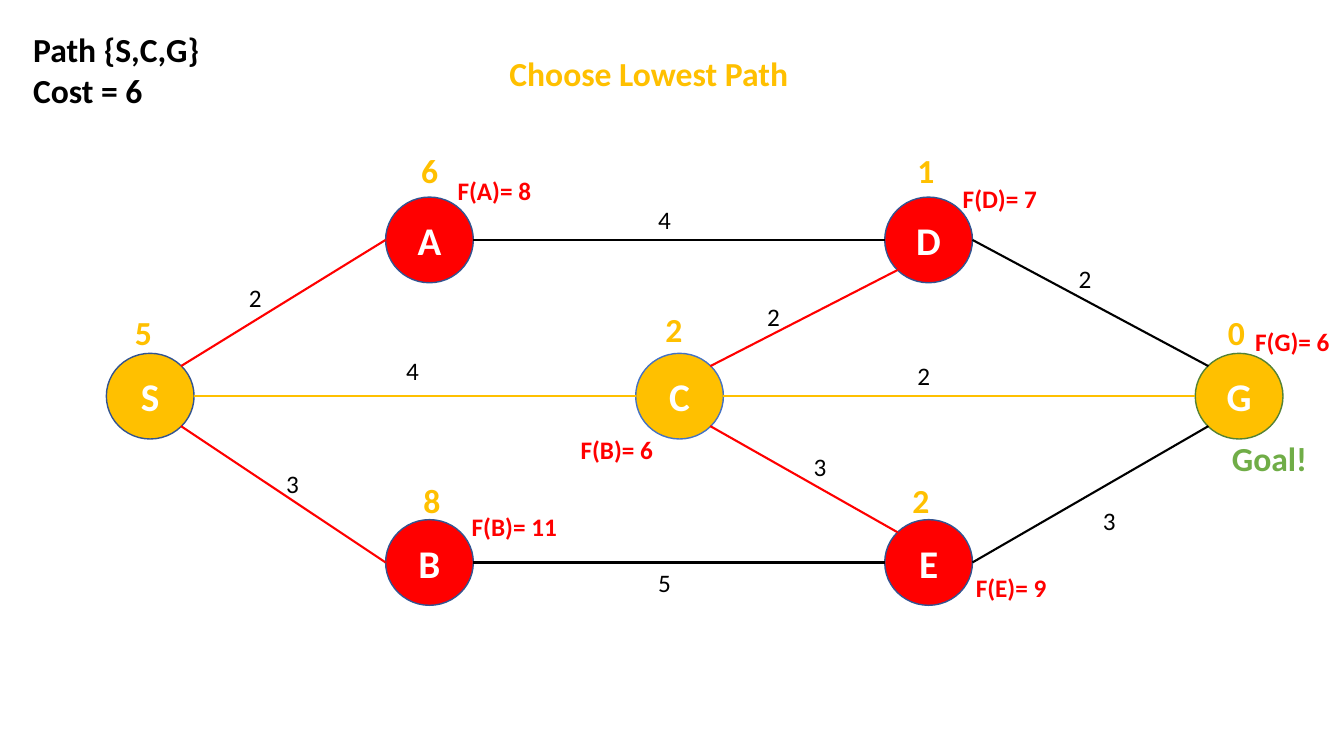
from lxml import etree
from pptx import Presentation
from pptx.dml.color import RGBColor
from pptx.enum.shapes import MSO_CONNECTOR, MSO_SHAPE
from pptx.enum.text import MSO_ANCHOR, MSO_AUTO_SIZE, PP_ALIGN
from pptx.oxml.ns import qn
from pptx.util import Inches, Pt

STRAIGHT = MSO_CONNECTOR.STRAIGHT
ELLIPSE = MSO_SHAPE.OVAL
TOP, MIDDLE = MSO_ANCHOR.TOP, MSO_ANCHOR.MIDDLE
LEFT, CENTER = PP_ALIGN.LEFT, PP_ALIGN.CENTER
GROW = MSO_AUTO_SIZE.SHAPE_TO_FIT_TEXT

COLORS = {
    "gold": "FFC000", "red": "FF0000", "black": "000000", "white": "FFFFFF",
    "green": "70AD47", "dark_green": "548235", "blue": "4472C4", "navy": "325491",
}
NODE_W, NODE_H = 0.87, 0.85
DIAGONAL = 0.35
SIDES = {
    "left": (-0.5, 0), "right": (0.5, 0),
    "top_left": (-DIAGONAL, -DIAGONAL), "top_right": (DIAGONAL, -DIAGONAL),
    "bottom_left": (-DIAGONAL, DIAGONAL), "bottom_right": (DIAGONAL, DIAGONAL),
}
COLS = (1.49, 4.26, 6.74, 9.21, 12.29)
ROWS = (2.38, 3.93, 5.58)
NODES = {
    "S": (COLS[0], ROWS[1], "gold", "navy"),
    "G": (COLS[4], ROWS[1], "gold", "dark_green"),
    "B": (COLS[1], ROWS[2], "red", "navy"),
    "A": (COLS[1], ROWS[0], "red", "navy"),
    "C": (COLS[2], ROWS[1], "gold", "blue"),
    "D": (COLS[3], ROWS[0], "red", "navy"),
    "E": (COLS[3], ROWS[2], "red", "navy"),
}
EDGES = [
    ("S", "top_right", "A", "left", "red", "2", 2.37, 2.75),
    ("S", "bottom_right", "B", "left", "red", "3", 2.74, 4.6),
    ("B", "right", "E", "left", "black", "5", 6.43, 5.58),
    ("E", "right", "G", "bottom_left", "black", "3", 10.84, 4.96),
    ("D", "right", "G", "top_left", "black", "2", 10.6, 2.56),
    ("A", "right", "D", "left", "black", "4", 6.43, 1.98),
    ("C", "right", "G", "left", "gold", "2", 9, 3.53),
    ("S", "right", "C", "left", "gold", "4", 3.93, 3.48),
    ("C", "top_right", "D", "bottom_left", "red", "2", 7.51, 2.94),
    ("C", "bottom_right", "E", "top_left", "red", "3", 7.97, 4.43),
]
HEURISTICS = [
    ("5", 1.24, 3.05), ("0", 12.08, 3.05), ("2", 8.95, 4.71), ("8", 4.1, 4.71),
    ("1", 9, 1.44), ("2", 6.5, 3.02), ("6", 4.08, 1.44),
]
SCORES = [
    ("F(B)= 11", 4.58, 5.02, 1.15), ("F(B)= 6", 5.66, 4.26, 1.15),
    ("F(D)= 7", 9.45, 1.77, 1.15), ("F(E)= 9", 9.58, 5.63, 1.15),
    ("F(G)= 6", 12.35, 3.19, 0.98), ("F(A)= 8", 4.44, 1.69, 1.15),
]


def rgb(name):
    return RGBColor.from_string(COLORS[name])


def write(sp, lines, size, color, bold=True, align=LEFT, anchor=TOP):
    tf = sp.text_frame
    for name, value in {"word_wrap": True, "vertical_anchor": anchor}.items():
        setattr(tf, name, value)
    for i, line in enumerate(lines):
        p = tf.paragraphs[0] if i == 0 else tf.add_paragraph()
        p.alignment = align
        r = p.add_run()
        r.text = line
        for name, value in {"name": "Calibri", "size": Pt(size), "bold": bold}.items():
            setattr(r.font, name, value)
        r.font.color.rgb = rgb(color)


def add_title(s, text):
    sp = s.shapes.title
    box = {"left": 4.86, "top": 0.47, "width": 3.15, "height": 0.5}
    for name, value in box.items():
        setattr(sp, name, Inches(value))
    write(sp, [text], 24, "gold", align=CENTER)
    sp.text_frame.auto_size = GROW


def add_label(s, lines, x, y, w, h, size, color, bold=True):
    sp = s.shapes.add_textbox(Inches(x), Inches(y), Inches(w), Inches(h))
    write(sp, lines, size, color, bold)
    sp.text_frame.auto_size = GROW


def add_node(s, name):
    x, y, fill, outline = NODES[name]
    sp = s.shapes.add_shape(ELLIPSE, Inches(x - NODE_W / 2), Inches(y - NODE_H / 2),
                            Inches(NODE_W), Inches(NODE_H))
    sp.shadow.inherit = False
    sp.fill.solid()
    sp.fill.fore_color.rgb = rgb(fill)
    sp.line.color.rgb = rgb(outline)
    sp.line.width = Pt(1)
    write(sp, [name], 28, "white", align=CENTER, anchor=MIDDLE)


def node_point(name, side):
    x, y = NODES[name][:2]
    dx, dy = SIDES[side]
    return Inches(x + dx * NODE_W), Inches(y + dy * NODE_H)


def add_edge(s, start, start_side, end, end_side, color):
    line = s.shapes.add_connector(STRAIGHT, *node_point(start, start_side),
                                  *node_point(end, end_side))
    line.line.color.rgb = rgb(color)
    line.line.width = Pt(1.5)
    etree.SubElement(line._element.spPr, qn("a:effectLst"))


def main():
    prs = Presentation()
    prs.slide_width, prs.slide_height = Inches(13.33), Inches(7.5)
    s = prs.slides.add_slide(prs.slide_layouts[5])
    add_title(s, "Choose Lowest Path")
    for name in NODES:
        add_node(s, name)
    for *ends, weight, x, y in EDGES:
        add_edge(s, *ends)
        add_label(s, [weight], x, y, 0.42, 0.4, 18, "black", bold=False)
    for value, x, y in HEURISTICS:
        add_label(s, [value], x, y, 0.53, 0.5, 24, "gold")
    for score, x, y, w in SCORES:
        add_label(s, [score], x, y, w, 0.4, 18, "red")
    add_label(s, ["Goal!"], 12.12, 4.3, 1.06, 0.5, 24, "green")
    add_label(s, ["Path {S,C,G}", "Cost = 6"], 0.23, 0.24, 2.93, 0.91, 24, "black")
    prs.save("out.pptx")


if __name__ == "__main__":
    main()
